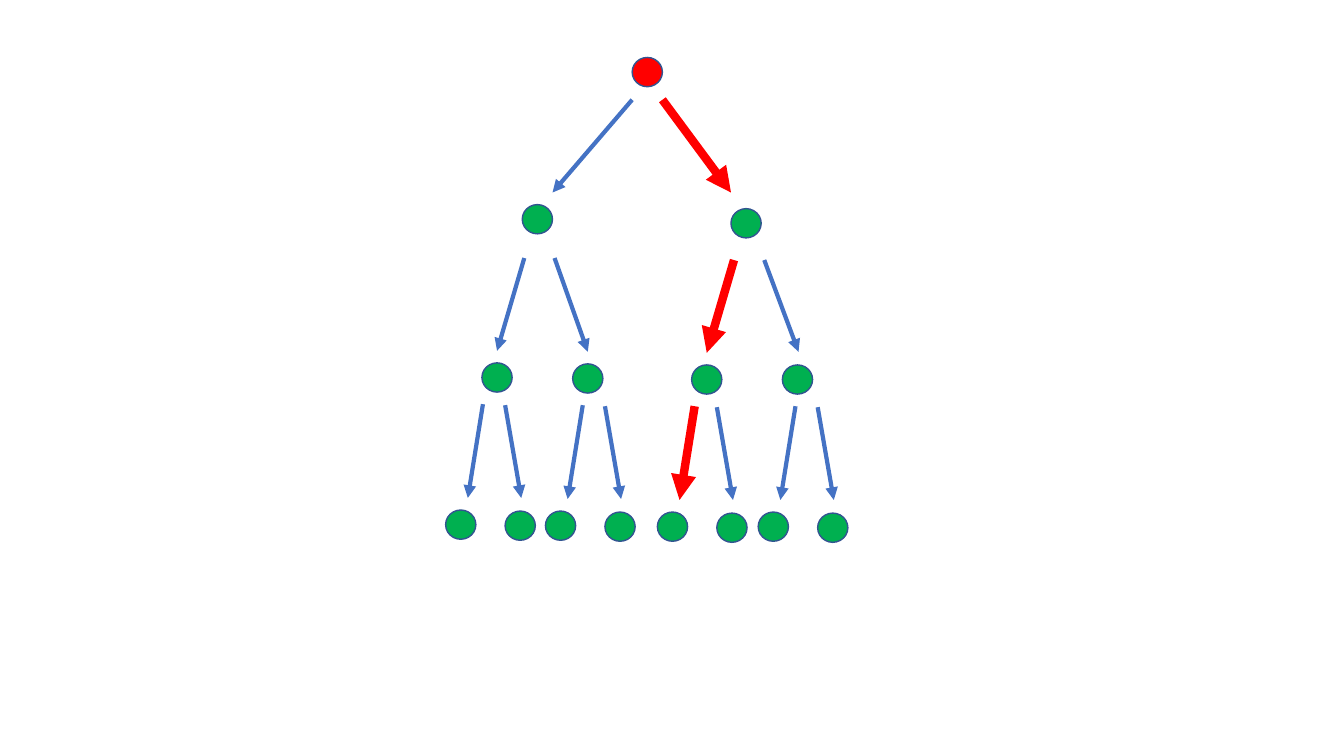
from lxml import etree
from pptx import Presentation
from pptx.dml.color import RGBColor
from pptx.enum import shapes
from pptx.oxml import ns
from pptx.util import Inches, Pt

RED = RGBColor(0xFF, 0x00, 0x00)
GREEN = RGBColor(0x00, 0xB0, 0x50)
BLUE = RGBColor(0x44, 0x72, 0xC4)
OUTLINE = RGBColor(0x32, 0x54, 0x91)

prs = Presentation()
prs.slide_width, prs.slide_height = Inches(13.33), Inches(7.5)
slide = prs.slides.add_slide(prs.slide_layouts[6])


def add_node(left, top, color=GREEN):
    node = slide.shapes.add_shape(shapes.MSO_SHAPE.OVAL, Inches(left), Inches(top),
                                  Inches(0.3), Inches(0.29))
    node.shadow.inherit = False
    node.fill.solid()
    node.fill.fore_color.rgb = color
    node.line.color.rgb = OUTLINE
    node.line.width = Pt(1)


def add_branch(x1, y1, x2, y2, on_path=False):
    branch = slide.shapes.add_connector(shapes.MSO_CONNECTOR.STRAIGHT, Inches(x1),
                                        Inches(y1), Inches(x2), Inches(y2))
    branch.line.color.rgb = RED if on_path else BLUE
    branch.line.width = Pt(6 if on_path else 3)
    etree.SubElement(branch.line._get_or_add_ln(), ns.qn("a:tailEnd"), type="triangle")
    etree.SubElement(branch._element.spPr, ns.qn("a:effectLst"))


# Root
add_node(6.27, 0.57, RED)

# Upper levels: node, then the branch that ends just above it
upper_levels = [
    ((5.18, 2.03), (6.27, 0.99, 5.48, 1.91), False),
    ((7.25, 2.07), (6.57, 0.99, 7.25, 1.91), True),
    ((4.78, 3.6), (5.2, 2.56, 4.93, 3.48), False),
    ((5.68, 3.61), (5.5, 2.56, 5.83, 3.49), False),
    ((6.86, 3.62), (7.28, 2.58, 7.01, 3.5), True),
    ((7.76, 3.62), (7.58, 2.58, 7.92, 3.49), False),
]
for node_at, branch_ends, on_path in upper_levels:
    add_node(*node_at)
    add_branch(*branch_ends, on_path)

# Leaves: equal pairs, each placed by its left leaf
leaf_pairs = [(4.42, 5.06, False), (5.41, 5.07, False), (6.52, 5.08, True), (7.52, 5.08, False)]
for left, top, on_path in leaf_pairs:
    add_node(left, top)
    add_branch(left + 0.37, top - 1.05, left + 0.22, top - 0.12, on_path)
    add_node(left + 0.59, top + 0.01)
    add_branch(left + 0.59, top - 1.04, left + 0.75, top - 0.12)

prs.save("out.pptx")
